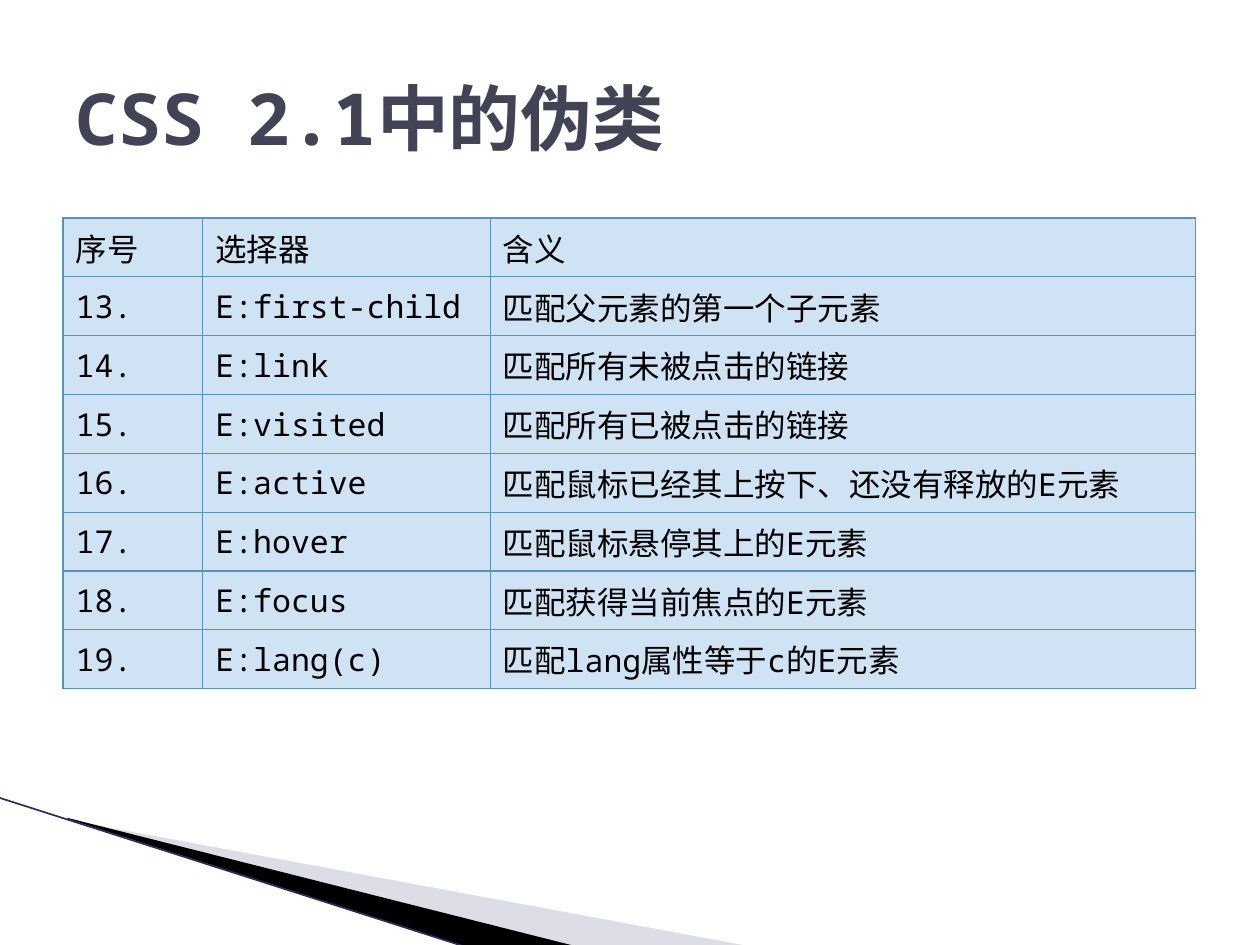
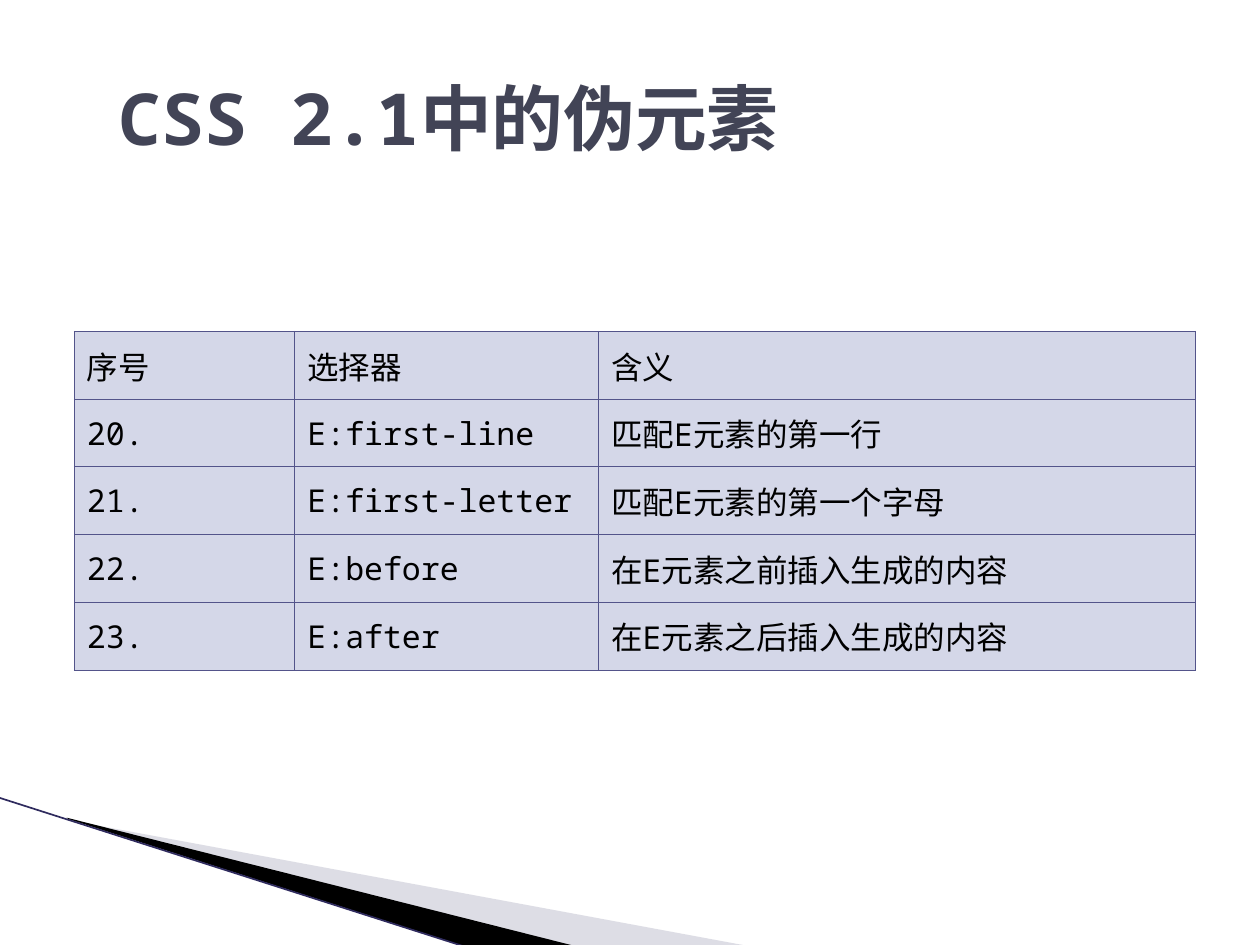
from lxml.etree import SubElement
from pptx import Presentation
from pptx.dml.color import RGBColor
from pptx.enum.lang import MSO_LANGUAGE_ID as Lang
from pptx.enum.shapes import MSO_CONNECTOR as Connector
from pptx.enum.text import MSO_ANCHOR as Anchor
from pptx.oxml.ns import qn
from pptx.util import Inches, Pt

HEADINGS = ("序号", "选择器", "含义")
PSEUDO_CLASSES = [
    ("E:first-child", "匹配父元素的第一个子元素"),
    ("E:link", "匹配所有未被点击的链接"),
    ("E:visited", "匹配所有已被点击的链接"),
    ("E:active", "匹配鼠标已经其上按下、还没有释放的E元素"),
    ("E:hover", "匹配鼠标悬停其上的E元素"),
    ("E:focus", "匹配获得当前焦点的E元素"),
    ("E:lang(c)", "匹配lang属性等于c的E元素"),
]
PSEUDO_ELEMENTS = [
    ("E:first-line", "匹配E元素的第一行"),
    ("E:first-letter", "匹配E元素的第一个字母"),
    ("E:before", "在E元素之前插入生成的内容"),
    ("E:after", "在E元素之后插入生成的内容"),
]
TOPICS = [
    dict(title="CSS 2.1中的伪类", title_inset=0.1, selectors=PSEUDO_CLASSES,
         first_number=13, left=0.5, top=1.73, columns=(1.11, 2.28, 5.6),
         row_height=0.467, fill="D0E3F4", border="5C92B5"),
    dict(title="CSS 2.1中的伪元素", title_inset=0.44, selectors=PSEUDO_ELEMENTS,
         first_number=20, left=0.59, top=2.63, columns=(1.75, 2.41, 4.74),
         row_height=0.538, fill="D4D7E8", border="53548A"),
]

BANDS = [
    ([(0.55, 6.51), (5.95, 7.51), (4.56, 7.51), (0.55, 6.5)], "AAAABF", 40),
    ([(0.53, 6.49), (4.57, 7.51), (3.72, 7.52), (0.54, 6.5)], "000000", 100),
]
EDGE = dict(start=(-0.01, 6.33), end=(3.71, 7.52), color="2F2B5E", width=0.95)
TITLE_BOX = (0.5, 0.3, 9, 1.25)
BASE_FONT = dict(name="Noto Sans Mono", language_id=Lang.SIMPLIFIED_CHINESE)
TITLE_FONT = dict(BASE_FONT, size=Pt(41), bold=True)
CELL_FONT = dict(BASE_FONT, size=Pt(18), bold=False)
BORDER_SIDES = ("a:lnL", "a:lnR", "a:lnT", "a:lnB")


def rgb(color):
    return RGBColor.from_string(color)


def inches(lengths):
    return [Inches(length) for length in lengths]


def write(frame, text, formats, color):
    paragraph = frame.paragraphs[0]
    run = paragraph.add_run()
    run.text = text
    for name, value in formats.items():
        setattr(run.font, name, value)
    run.font.color.rgb = rgb(color)


def add_bands(slide):
    for points, color, opacity in BANDS:
        first, *rest = [inches(point) for point in points]
        builder = slide.shapes.build_freeform(*first, scale=1)
        builder.add_line_segments(rest, close=True)
        band = builder.convert_to_shape()
        band.shadow.inherit = False
        band.fill.solid()
        band.fill.fore_color.rgb = rgb(color)
        band.line.fill.background()
        if opacity < 100:
            tint = band.fill._xPr.find(".//" + qn("a:srgbClr"))
            SubElement(tint, qn("a:alpha"), val=str(opacity * 1000))
    edge = slide.shapes.add_connector(
        Connector.STRAIGHT, *inches(EDGE["start"] + EDGE["end"]))
    edge.line.color.rgb = rgb(EDGE["color"])
    edge.line.width = Pt(EDGE["width"])
    SubElement(edge._element.spPr, qn("a:effectLst"))


def add_title(slide, title, inset):
    frame = slide.shapes.add_textbox(*inches(TITLE_BOX)).text_frame
    frame.word_wrap = True
    frame.vertical_anchor = Anchor.MIDDLE
    frame.margin_left = Inches(inset)
    write(frame, title, TITLE_FONT, "424456")


def style_cell(cell, fill, border):
    cell.vertical_anchor = Anchor.MIDDLE
    properties = cell._tc.get_or_add_tcPr()
    for side in BORDER_SIDES:
        line = SubElement(properties, qn(side), w=str(Pt(0.75)))
        solid = SubElement(line, qn("a:solidFill"))
        SubElement(solid, qn("a:srgbClr"), val=border)
    cell.fill.solid()
    cell.fill.fore_color.rgb = rgb(fill)


def add_selector_table(slide, topic):
    numbered = enumerate(topic["selectors"], topic["first_number"])
    rows = [HEADINGS] + [(f"{number}.", *entry) for number, entry in numbered]
    columns, height = topic["columns"], topic["row_height"]
    place = inches((topic["left"], topic["top"], sum(columns), height * len(rows)))
    table = slide.shapes.add_table(len(rows), len(columns), *place).table
    for column, width in zip(table.columns, columns):
        column.width = Inches(width)
    for row, texts in zip(table.rows, rows):
        row.height = Inches(height)
        for cell, text in zip(row.cells, texts):
            style_cell(cell, topic["fill"], topic["border"])
            write(cell.text_frame, text, CELL_FONT, "000000")


def main():
    deck = Presentation()
    deck.slide_width, deck.slide_height = inches((10, 7.5))
    for topic in TOPICS:
        slide = deck.slides.add_slide(deck.slide_layouts[6])
        add_bands(slide)
        add_selector_table(slide, topic)
        add_title(slide, topic["title"], topic["title_inset"])
    deck.save("out.pptx")


if __name__ == "__main__":
    main()
